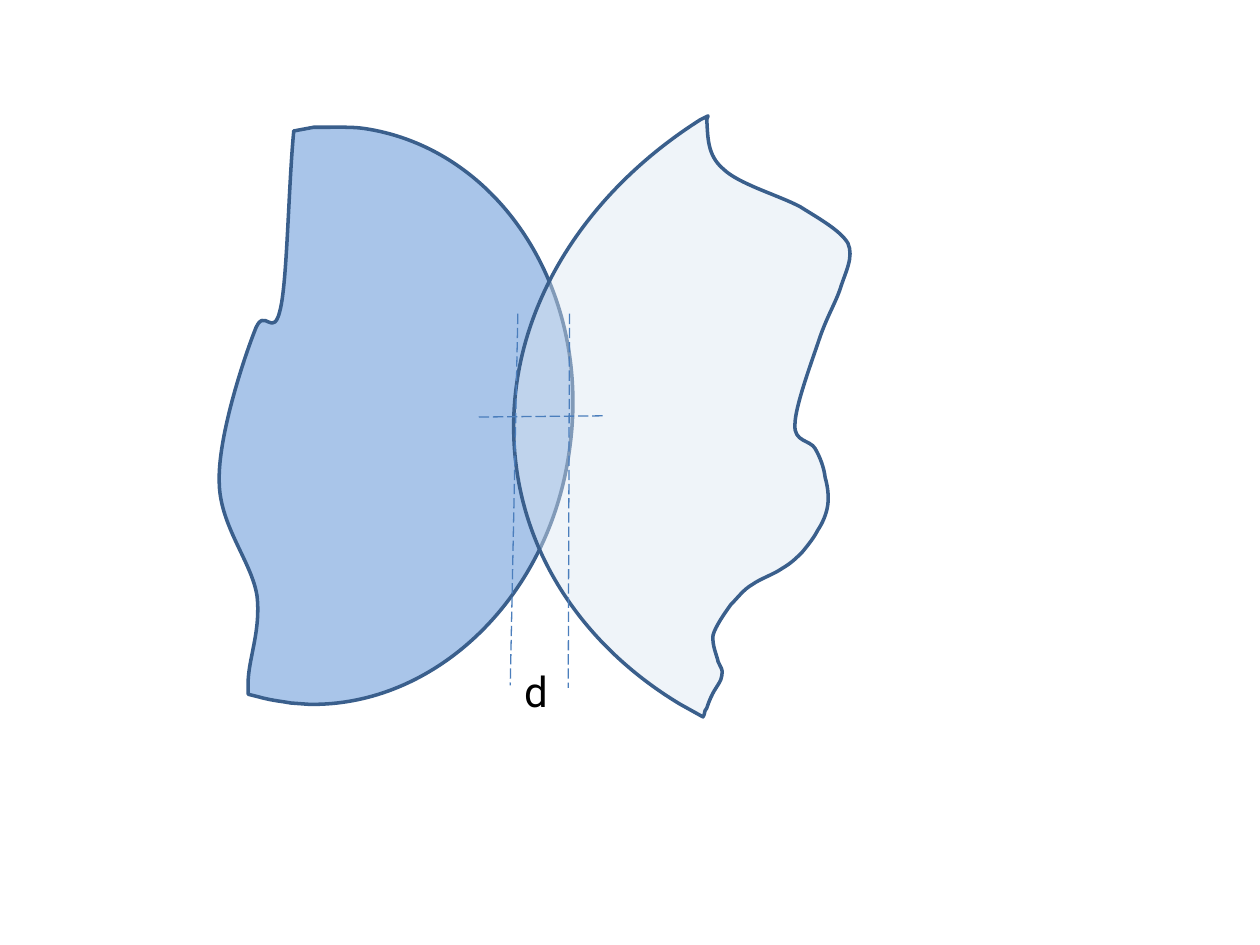
"""Build a slide showing two overlapping bodies and their overlap depth d."""
from dataclasses import dataclass
from math import cos, radians, sin

from lxml.etree import SubElement
from pptx import Presentation
from pptx.dml.color import RGBColor
from pptx.enum.dml import MSO_LINE
from pptx.enum.shapes import MSO_CONNECTOR
from pptx.enum.text import MSO_AUTO_SIZE as AutoSize
from pptx.oxml.ns import qn
from pptx.slide import Slide
from pptx.util import Cm, Pt

OUTLINE = RGBColor(0x3A, 0x5F, 0x8C)
GUIDE = RGBColor(0x4B, 0x7E, 0xBC)
LEFT_FILL = RGBColor(0x8E, 0xB4, 0xE3)
RIGHT_FILL = RGBColor(0xDC, 0xE6, 0xF2)
BLACK = RGBColor(0, 0, 0)
GRID_COLUMNS, GRID_ROWS = 1000, 750
GRID_CM = 25.4 / GRID_COLUMNS


@dataclass(frozen=True)
class Body:
    """A turned shape; its outline has lines (2 numbers) and curves (6), in slide grid units."""
    frame: tuple[int, int, int, int]
    rotation: int
    fill: RGBColor
    opacity: int
    outline: list[tuple[int, ...]]


@dataclass(frozen=True)
class Guide:
    """A dashed line between two grid points."""
    begin: tuple[int, int]
    end: tuple[int, int]


BODIES = [
    Body((180, 109, 273, 459), 8, LEFT_FILL, 76, [
        (289, 102), (397, 118, 470, 232, 452, 357), (436, 475, 345, 561, 245, 559),
        (231, 558), (225, 557), (218, 556, 212, 555, 205, 553), (197, 551), (197, 539),
        (198, 521, 207, 499, 204, 473), (200, 446, 174, 417, 174, 382),
        (173, 347, 193, 286, 202, 263), (210, 240, 217, 273, 223, 243),
        (228, 218, 229, 149, 233, 106), (233, 104), (249, 101), (262, 101), (269, 101),
        (276, 101, 282, 101, 289, 102),
    ]),
    Body((406, 96, 286, 472), 352, RIGHT_FILL, 44, [
        (562, 92), (561, 95), (562, 108, 561, 123, 574, 134), (586, 146, 618, 155, 635, 164),
        (651, 174, 667, 183, 673, 193), (678, 204, 671, 216, 667, 229),
        (663, 241, 656, 252, 650, 270), (644, 288, 631, 323, 631, 337),
        (630, 351, 643, 349, 647, 356), (651, 363, 654, 371, 655, 379),
        (657, 386, 658, 394, 657, 401), (656, 408, 653, 415, 649, 421),
        (646, 427, 641, 433, 637, 438), (632, 443, 628, 447, 621, 451),
        (614, 456, 604, 459, 597, 464), (590, 468, 586, 474, 580, 480),
        (575, 487, 568, 497, 566, 504), (565, 512, 569, 520, 570, 525),
        (572, 530, 574, 531, 573, 536), (573, 540, 568, 546, 566, 550),
        (564, 554, 563, 556, 561, 562), (560, 563, 559, 565, 559, 567),
        (558, 569), (540, 559), (470, 517, 421, 451, 410, 372),
        (395, 263, 455, 159, 556, 95), (562, 92),
    ]),
]
GUIDES = [
    Guide((380, 331), (480, 330)),
    Guide((411, 249), (405, 544)),
    Guide((452, 249), (451, 546)),
]


def grid(units: float) -> Cm:
    """Convert slide grid units to a length."""
    return Cm(units * GRID_CM)


def local_point(body: Body, x: int, y: int) -> tuple[Cm, Cm]:
    """Turn a slide point back into the unrotated frame of a body."""
    left, top, width, height = body.frame
    across, down = x - left - width / 2, y - top - height / 2
    angle = radians(body.rotation)
    return (grid(across * cos(angle) + down * sin(angle) + width / 2),
            grid(down * cos(angle) - across * sin(angle) + height / 2))


def draw_body(slide: Slide, body: Body) -> None:
    """Draw a translucent body with a curved outline."""
    left, top, width, height = map(grid, body.frame)
    right, bottom = left + width, top + height
    builder = slide.shapes.build_freeform(left, top)
    builder.add_line_segments([(right, top), (right, bottom), (left, bottom)])
    shape = builder.convert_to_shape()
    shape.rotation = body.rotation
    shape.shadow.inherit = False
    shape.fill.solid()
    shape.fill.fore_color.rgb = body.fill
    shape.line.color.rgb = OUTLINE
    shape.line.width = Pt(2)

    color = shape.element.spPr.find(qn("a:solidFill")).find(qn("a:srgbClr"))
    SubElement(color, qn("a:alpha"), val=str(body.opacity * 1000))
    contour = next(shape.element.iter(qn("a:path")))
    for child in list(contour):
        contour.remove(child)
    for index, numbers in enumerate(body.outline):
        tag = "a:cubicBezTo" if len(numbers) == 6 else "a:lnTo" if index else "a:moveTo"
        command = SubElement(contour, qn(tag))
        for x, y in zip(numbers[::2], numbers[1::2]):
            local_x, local_y = local_point(body, x, y)
            SubElement(command, qn("a:pt"), x=str(int(local_x)), y=str(int(local_y)))
    SubElement(contour, qn("a:close"))


def draw_guide(slide: Slide, guide: Guide) -> None:
    """Draw a thin dashed guide line."""
    connector = slide.shapes.add_connector(
        MSO_CONNECTOR.STRAIGHT, *map(grid, guide.begin + guide.end))
    connector.line.color.rgb = GUIDE
    connector.line.width = Pt(0.75)
    connector.line.dash_style = MSO_LINE.LONG_DASH
    SubElement(connector.element.spPr, qn("a:effectLst"))


def draw_label(slide: Slide, text: str, frame: tuple[int, int, int, int]) -> None:
    """Write a label in a text box without margins."""
    text_frame = slide.shapes.add_textbox(*map(grid, frame)).text_frame
    text_frame.margin_left = text_frame.margin_right = 0
    text_frame.margin_top = text_frame.margin_bottom = 0
    text_frame.word_wrap = True
    text_frame.auto_size = AutoSize.SHAPE_TO_FIT_TEXT
    run = text_frame.paragraphs[0].add_run()
    run.text = text
    run.font.name = "Roboto"
    run.font.size = Pt(24)
    run.font.color.rgb = BLACK


def main() -> None:
    """Create and save the presentation."""
    presentation = Presentation()
    presentation.slide_width = grid(GRID_COLUMNS)
    presentation.slide_height = grid(GRID_ROWS)
    slide = presentation.slides.add_slide(presentation.slide_layouts[6])
    for body in BODIES:
        draw_body(slide, body)
    for guide in GUIDES:
        draw_guide(slide, guide)
    draw_label(slide, "d", (416, 528, 52, 40))
    presentation.save("out.pptx")


if __name__ == "__main__":
    main()
